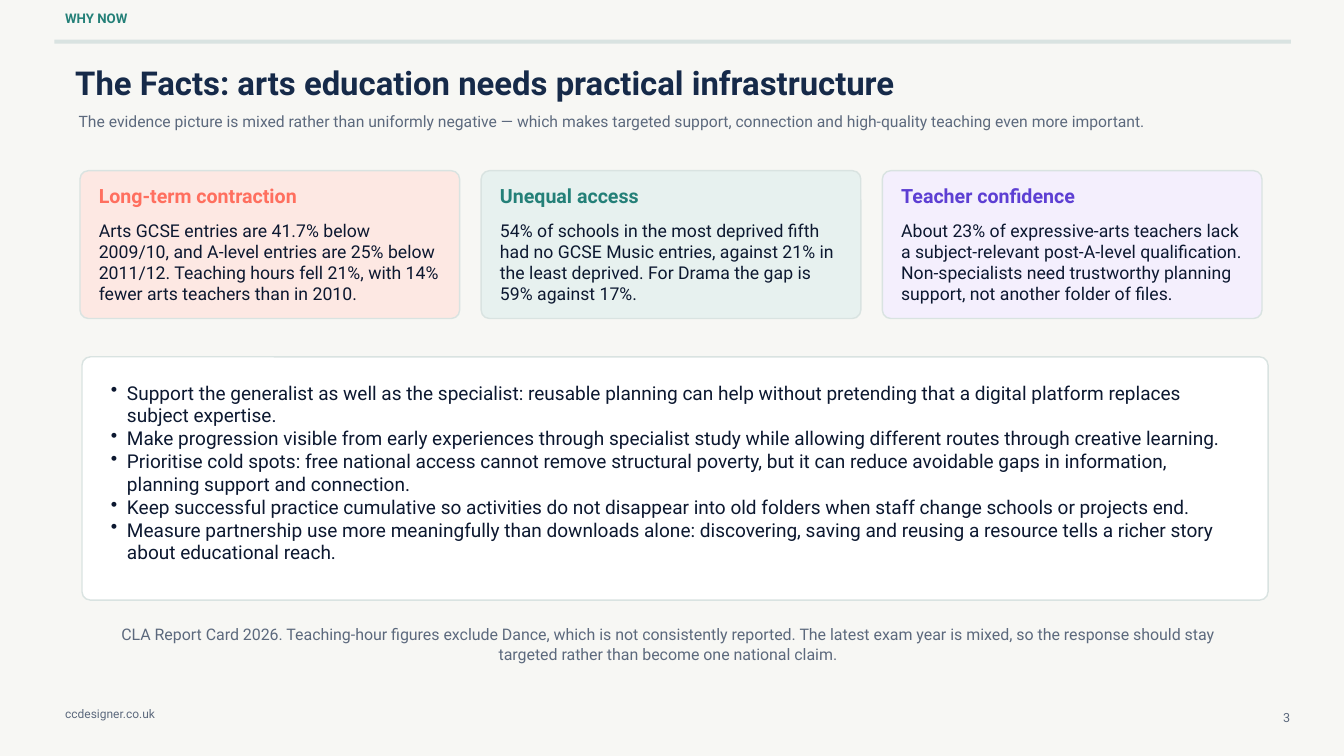
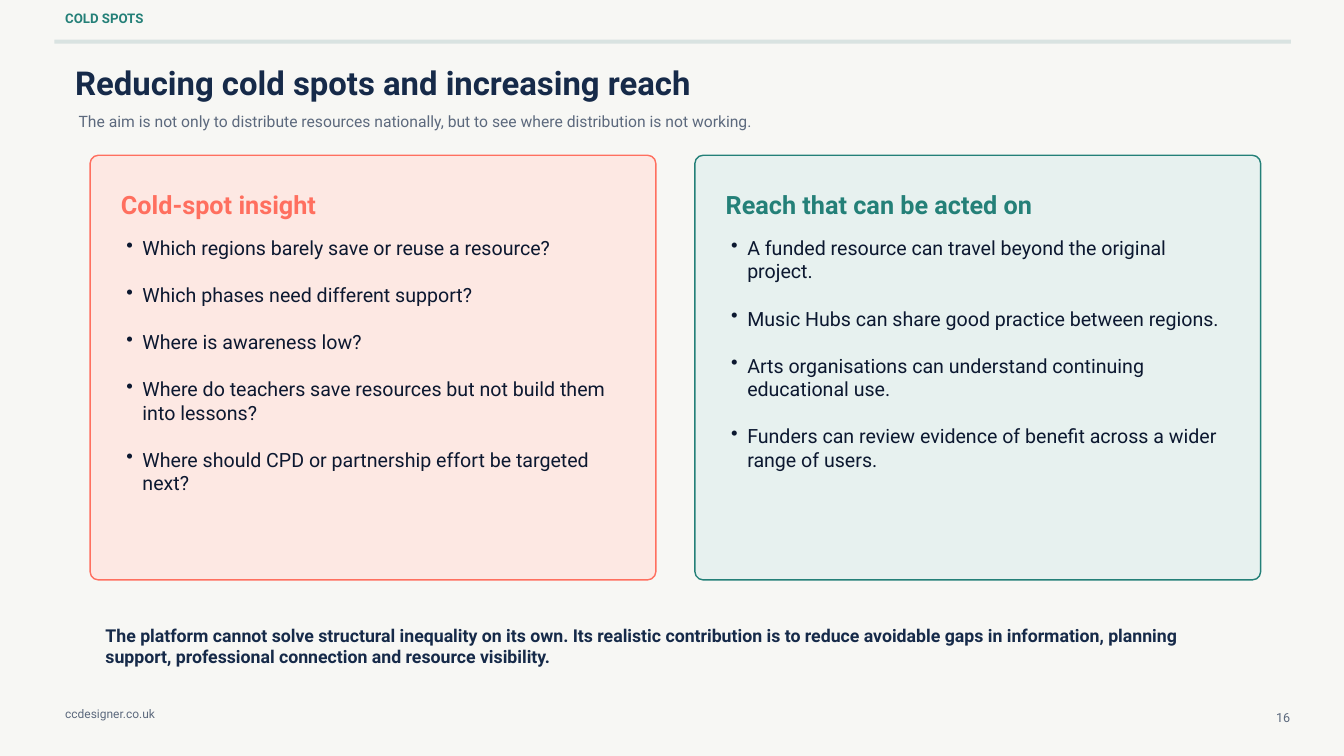
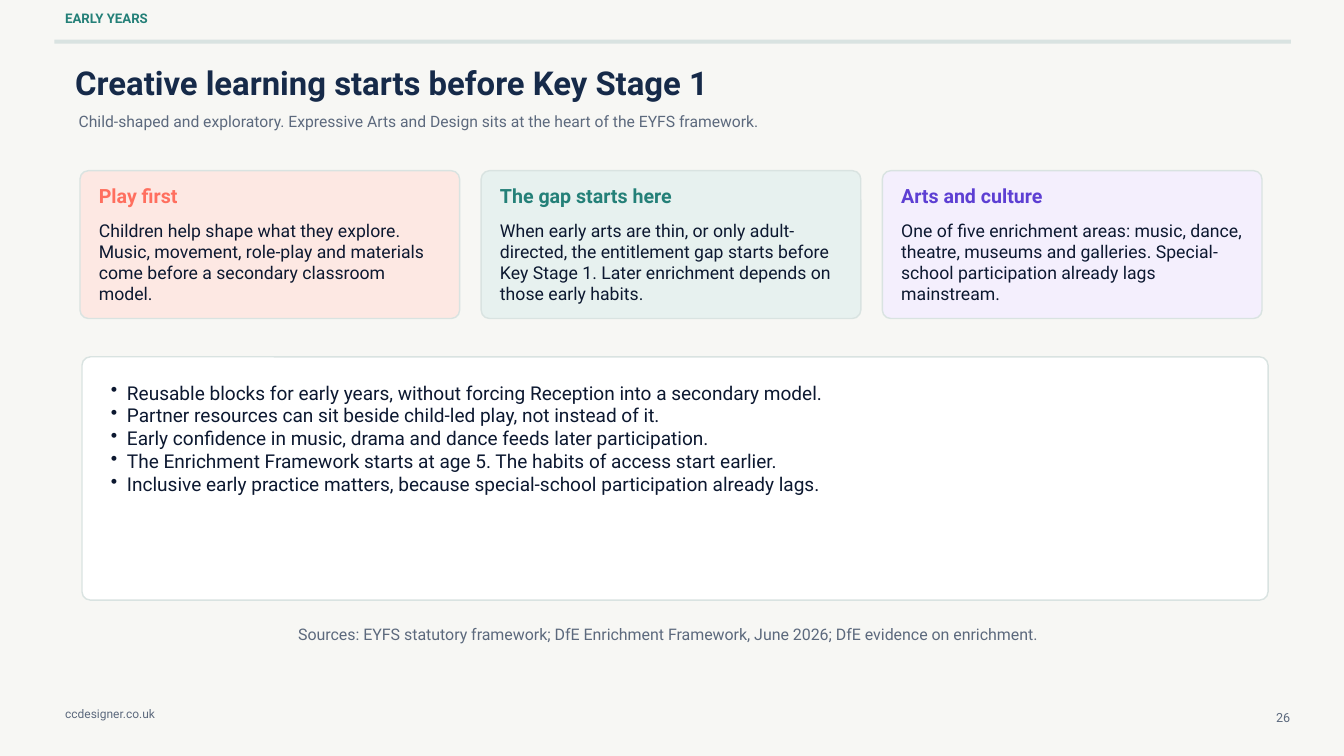
from dataclasses import dataclass

import pptx
import pptx.dml.color
import pptx.enum.shapes
import pptx.enum.text
import pptx.oxml.xmlchemy
import pptx.util
from lxml import etree

# Grid: 20 columns by 11.25 rows of square modules
COLS, ROWS = 20, 11.25
SLIDE_W, SLIDE_H = pptx.util.Inches(20), pptx.util.Inches(11.25)

# Shared style
FONT = "Roboto"
PAPER, WHITE, RULE = "F7F7F4", "FFFFFF", "D9E3E1"
NAVY, INK, GREY = "162A49", "0C1830", "5C697D"
CORAL, TEAL, VIOLET = "FF6F5F", "248078", "5D3FD3"
TINTS = {CORAL: "FDE8E3", TEAL: "E7F1EF", VIOLET: "F4EFFD"}
LEADING = 1.2
CORNER = 0.125
BULLET_INDENT = 0.24
ALIGN = pptx.enum.text.PP_ALIGN
SHAPE = pptx.enum.shapes.MSO_SHAPE


@dataclass
class Box:
    """A place on the grid, in columns and rows."""
    col: float
    row: float
    cols: float
    rows: float

    def emu(self) -> tuple[int, int, int, int]:
        return (round(self.col * SLIDE_W / COLS), round(self.row * SLIDE_H / ROWS),
                round(self.cols * SLIDE_W / COLS), round(self.rows * SLIDE_H / ROWS))

    def shifted(self, cols: float) -> "Box":
        return Box(self.col + cols, self.row, self.cols, self.rows)


@dataclass
class Card:
    heading: str
    body: str
    accent: str


@dataclass
class Panel:
    heading: str
    bullets: list[str]
    accent: str


@dataclass
class Frame:
    section: str
    number: str
    title: str
    subtitle: str


@dataclass
class FactsSlide:
    frame: Frame
    cards: list[Card]
    bullets: list[str]
    source: str


@dataclass
class ComparisonSlide:
    frame: Frame
    panels: list[Panel]
    conclusion: str


# Drawing helpers
def rgb(color: str) -> pptx.dml.color.RGBColor:
    return pptx.dml.color.RGBColor.from_string(color)


def add_bullet(p) -> None:
    indent = pptx.util.Inches(BULLET_INDENT)
    p_pr = p._p.get_or_add_pPr()
    p_pr.set("marL", str(indent))
    p_pr.set("indent", str(-indent))
    bullet = etree.SubElement(p_pr, pptx.oxml.ns.qn("a:buChar"))
    bullet.set("char", "•")


def add_text(slide, box: Box, text: str | list[str], *, size: float, color: str,
             bold: bool = False, align=ALIGN.LEFT, bullets: bool = False,
             gap: float = 0) -> None:
    tf = slide.shapes.add_textbox(*box.emu()).text_frame
    tf.word_wrap = True
    tf.auto_size = pptx.enum.text.MSO_AUTO_SIZE.SHAPE_TO_FIT_TEXT
    tf.margin_left = tf.margin_right = tf.margin_top = tf.margin_bottom = 0
    for i, line in enumerate([text] if isinstance(text, str) else text):
        p = tf.add_paragraph() if i else tf.paragraphs[0]
        if bullets:
            add_bullet(p)
        p.alignment = align
        p.line_spacing = pptx.util.Pt(size * LEADING)
        if i and gap:
            p.space_before = pptx.util.Pt(gap)
        r = p.add_run()
        r.text = line
        r.font.name, r.font.bold = FONT, bold
        r.font.size = pptx.util.Pt(size)
        r.font.color.rgb = rgb(color)


def add_block(slide, box: Box, fill: str, line: str | None = None) -> None:
    """Draw a plain bar, or a rounded panel when it has an outline."""
    kind = SHAPE.ROUNDED_RECTANGLE if line else SHAPE.RECTANGLE
    sp = slide.shapes.add_shape(kind, *box.emu())
    sp.shadow.inherit = False
    sp.fill.solid()
    sp.fill.fore_color.rgb = rgb(fill)
    if line:
        sp.adjustments[0] = CORNER / min(box.cols, box.rows)
        sp.line.color.rgb = rgb(line)
        sp.line.width = pptx.util.Pt(1.5)
    else:
        sp.line.fill.background()


# Parts of a slide
def add_frame(prs, frame: Frame):
    slide = prs.slides.add_slide(prs.slide_layouts[6])
    add_block(slide, Box(0.81, 0.59, 18.4, 0.06), RULE)
    add_text(slide, Box(0.97, 0.15, 9.3, 0.36), frame.section, size=14.2, color=TEAL, bold=True)
    add_text(slide, Box(18.82, 10.56, 0.38, 0.31), frame.number, size=13.5, color=GREY,
             align=ALIGN.RIGHT)
    add_text(slide, Box(0.97, 10.52, 3.3, 0.31), "ccdesigner.co.uk", size=12.8, color=GREY)
    add_text(slide, Box(1.12, 0.93, 13.8, 0.72), frame.title, size=35.2, color=NAVY, bold=True)
    add_text(slide, Box(1.17, 1.67, 17.25, 0.34), frame.subtitle, size=16.8, color=GREY)
    return slide


def add_facts_slide(prs, content: FactsSlide) -> None:
    slide = add_frame(prs, content.frame)
    for i, card in enumerate(content.cards):
        shift = i * 5.97
        add_block(slide, Box(1.19, 2.54, 5.65, 2.2).shifted(shift), TINTS[card.accent], RULE)
        add_text(slide, Box(1.47, 2.73, 5.08, 0.49).shifted(shift), card.heading,
                 size=21, color=card.accent, bold=True)
        add_text(slide, Box(1.47, 3.27, 5.08, 1.25).shifted(shift), card.body,
                 size=18.9, color=INK)
    add_block(slide, Box(1.22, 5.31, 17.65, 3.62), WHITE, RULE)
    add_text(slide, Box(1.65, 5.67, 16.8, 2.82), content.bullets, size=20.4, color=INK,
             bullets=True)
    add_text(slide, Box(1.5, 9.3, 16.88, 0.66), content.source, size=17.1, color=GREY,
             align=ALIGN.CENTER)


def add_comparison_slide(prs, content: ComparisonSlide) -> None:
    slide = add_frame(prs, content.frame)
    for i, panel in enumerate(content.panels):
        shift = i * 9
        add_block(slide, Box(1.34, 2.31, 8.42, 6.32).shifted(shift), TINTS[panel.accent],
                  panel.accent)
        add_text(slide, Box(1.8, 2.82, 7.5, 0.42).shifted(shift), panel.heading,
                 size=27, color=panel.accent, bold=True)
        add_text(slide, Box(1.88, 3.51, 7.35, 3.79).shifted(shift), panel.bullets,
                 size=21, color=INK, bullets=True, gap=21 * LEADING)
    add_text(slide, Box(1.57, 9.3, 16.8, 0.62), content.conclusion, size=19, color=NAVY,
             bold=True)


# Content
FACTS = FactsSlide(
    Frame("WHY NOW", "3", "The Facts: arts education needs practical infrastructure",
          "The evidence picture is mixed rather than uniformly negative — which makes targeted "
          "support, connection and high-quality teaching even more important."),
    [Card("Long-term contraction",
          "Arts GCSE entries are 41.7% below 2009/10, and A-level entries are 25% below 2011/12. "
          "Teaching hours fell 21%, with 14% fewer arts teachers than in 2010.", CORAL),
     Card("Unequal access",
          "54% of schools in the most deprived fifth had no GCSE Music entries, against 21% in "
          "the least deprived. For Drama the gap is 59% against 17%.", TEAL),
     Card("Teacher confidence",
          "About 23% of expressive-arts teachers lack a subject-relevant post-A-level "
          "qualification. Non-specialists need trustworthy planning support, not another folder "
          "of files.", VIOLET)],
    ["Support the generalist as well as the specialist: reusable planning can help without "
     "pretending that a digital platform replaces subject expertise.",
     "Make progression visible from early experiences through specialist study while allowing "
     "different routes through creative learning.",
     "Prioritise cold spots: free national access cannot remove structural poverty, but it can "
     "reduce avoidable gaps in information, planning support and connection.",
     "Keep successful practice cumulative so activities do not disappear into old folders when "
     "staff change schools or projects end.",
     "Measure partnership use more meaningfully than downloads alone: discovering, saving and "
     "reusing a resource tells a richer story about educational reach."],
    "CLA Report Card 2026. Teaching-hour figures exclude Dance, which is not consistently "
    "reported. The latest exam year is mixed, so the response should stay targeted rather than "
    "become one national claim.")

COLD_SPOTS = ComparisonSlide(
    Frame("COLD SPOTS", "16", "Reducing cold spots and increasing reach",
          "The aim is not only to distribute resources nationally, but to see where distribution "
          "is not working."),
    [Panel("Cold-spot insight",
           ["Which regions barely save or reuse a resource?",
            "Which phases need different support?",
            "Where is awareness low?",
            "Where do teachers save resources but not build them into lessons?",
            "Where should CPD or partnership effort be targeted next?"], CORAL),
     Panel("Reach that can be acted on",
           ["A funded resource can travel beyond the original project.",
            "Music Hubs can share good practice between regions.",
            "Arts organisations can understand continuing educational use.",
            "Funders can review evidence of benefit across a wider range of users."], TEAL)],
    "The platform cannot solve structural inequality on its own. Its realistic contribution is "
    "to reduce avoidable gaps in information, planning support, professional connection and "
    "resource visibility.")

EARLY_YEARS = FactsSlide(
    Frame("EARLY YEARS", "26", "Creative learning starts before Key Stage 1",
          "Child-shaped and exploratory. Expressive Arts and Design sits at the heart of the "
          "EYFS framework."),
    [Card("Play first",
          "Children help shape what they explore. Music, movement, role-play and materials come "
          "before a secondary classroom model.", CORAL),
     Card("The gap starts here",
          "When early arts are thin, or only adult-directed, the entitlement gap starts before "
          "Key Stage 1. Later enrichment depends on those early habits.", TEAL),
     Card("Arts and culture",
          "One of five enrichment areas: music, dance, theatre, museums and galleries. "
          "Special-school participation already lags mainstream.", VIOLET)],
    ["Reusable blocks for early years, without forcing Reception into a secondary model.",
     "Partner resources can sit beside child-led play, not instead of it.",
     "Early confidence in music, drama and dance feeds later participation.",
     "The Enrichment Framework starts at age 5. The habits of access start earlier.",
     "Inclusive early practice matters, because special-school participation already lags."],
    "Sources: EYFS statutory framework; DfE Enrichment Framework, June 2026; DfE evidence on "
    "enrichment.")


def main() -> None:
    prs = pptx.Presentation()
    prs.slide_width, prs.slide_height = SLIDE_W, SLIDE_H
    background = prs.slide_master.background.fill
    background.solid()
    background.fore_color.rgb = rgb(PAPER)
    add_facts_slide(prs, FACTS)
    add_comparison_slide(prs, COLD_SPOTS)
    add_facts_slide(prs, EARLY_YEARS)
    prs.save("out.pptx")


if __name__ == "__main__":
    main()
